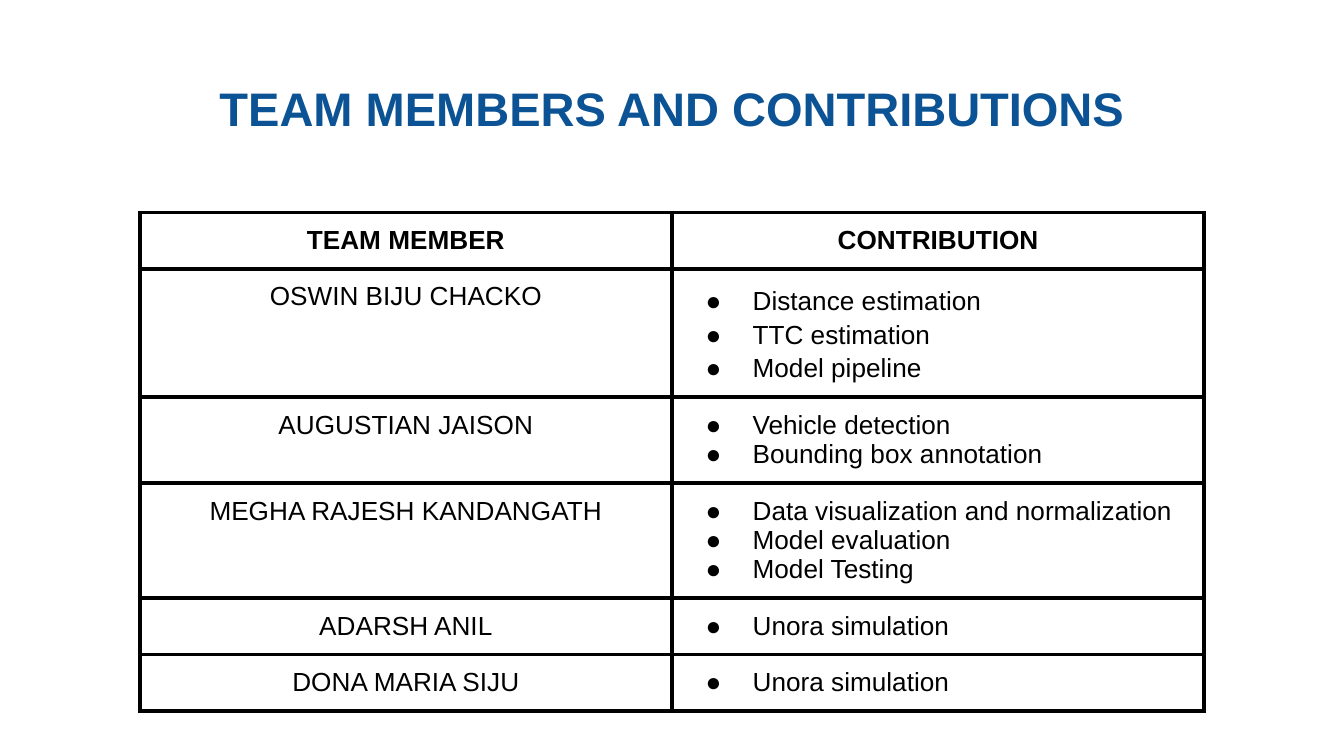
from lxml import etree
from pptx import Presentation
from pptx.dml.color import RGBColor
from pptx.enum.text import MSO_ANCHOR, PP_ALIGN
from pptx.oxml.ns import qn
from pptx.util import Inches, Pt

CENTER, LEFT = PP_ALIGN.CENTER, PP_ALIGN.LEFT
MIDDLE, TOP = MSO_ANCHOR.MIDDLE, MSO_ANCHOR.TOP
BLUE = RGBColor(0x0B, 0x53, 0x94)
BLACK = RGBColor(0, 0, 0)

TITLE = "TEAM MEMBERS AND CONTRIBUTIONS"
HEADERS = ("TEAM MEMBER", "CONTRIBUTION")
# name, contributions, line spacing, row height
MEMBERS = [
    ("OSWIN BIJU CHACKO",
     ["Distance estimation", "TTC estimation", "Model pipeline"], 1.15, 0.95),
    ("AUGUSTIAN JAISON",
     ["Vehicle detection", "Bounding box annotation"], 1.0, 0.64),
    ("MEGHA RAJESH KANDANGATH",
     ["Data visualization and normalization", "Model evaluation", "Model Testing"],
     1.0, 0.85),
    ("ADARSH ANIL", ["Unora simulation"], 1.0, 0.42),
    ("DONA MARIA SIJU", ["Unora simulation"], 1.0, 0.42),
]
SLIDE_WIDTH = Inches(10)
SLIDE_HEIGHT = SLIDE_WIDTH * 9 // 16
HEADER_HEIGHT = 0.42
COLUMN_WIDTH = 3.96
TABLE_LEFT, TABLE_TOP = 1.04, 1.58
INSET = Inches(0.1)
MARGINS = dict.fromkeys(
    ("margin_left", "margin_right", "margin_top", "margin_bottom"), INSET)
TITLE_FONT = {"name": "Arial", "size": Pt(25.2), "bold": True}
HEADER_FONT = {"name": "Arial", "size": Pt(14), "bold": True}
BODY_FONT = {**HEADER_FONT, "bold": False}


def set_attributes(target, values):
    for name, value in values.items():
        setattr(target, name, value)


def write(frame, lines, font, color, alignment, spacing=1.0):
    frame.text = "\n".join(lines)
    for paragraph in frame.paragraphs:
        paragraph.alignment = alignment
        paragraph.line_spacing = spacing
        for run in paragraph.runs:
            set_attributes(run.font, font)
            run.font.color.rgb = color


def add_bullet(paragraph):
    properties = paragraph._p.get_or_add_pPr()
    properties.set("marL", str(Inches(0.5)))
    properties.set("indent", str(Inches(-0.35)))
    color = etree.SubElement(properties, qn("a:buClr"))
    etree.SubElement(color, qn("a:srgbClr"), val=str(BLACK))
    etree.SubElement(properties, qn("a:buFont"), typeface="Arial")
    etree.SubElement(properties, qn("a:buChar"), char="●")


def format_cell(cell):
    """Give the cell its margins, black borders and an empty fill."""
    set_attributes(cell, {**MARGINS, "vertical_anchor": TOP})
    properties = cell._tc.get_or_add_tcPr()
    for side in ("lnL", "lnR", "lnT", "lnB"):
        line = etree.SubElement(properties, qn(f"a:{side}"), w=str(Pt(2.25)))
        fill = etree.SubElement(line, qn("a:solidFill"))
        etree.SubElement(fill, qn("a:srgbClr"), val=str(BLACK))
    cell.fill.background()


def add_title(slide):
    title = slide.shapes.title
    set_attributes(title, {"left": Inches(0.34), "top": Inches(0.49),
                           "width": Inches(9.32), "height": Inches(0.63)})
    set_attributes(title.text_frame,
                   {**MARGINS, "vertical_anchor": MIDDLE, "word_wrap": True})
    write(title.text_frame, [TITLE], TITLE_FONT, BLUE, CENTER)


def add_member_table(slide):
    heights = [HEADER_HEIGHT] + [member[-1] for member in MEMBERS]
    table = slide.shapes.add_table(
        len(heights), len(HEADERS), Inches(TABLE_LEFT), Inches(TABLE_TOP),
        Inches(COLUMN_WIDTH * len(HEADERS)), Inches(sum(heights))).table
    set_attributes(table, {"first_row": False, "horz_banding": False})
    for row, height in zip(table.rows, heights):
        row.height = Inches(height)
    for cell in table.iter_cells():
        format_cell(cell)

    for column, header in enumerate(HEADERS):
        write(table.cell(0, column).text_frame, [header], HEADER_FONT, BLACK, CENTER)
    for row, (name, contributions, spacing, _) in enumerate(MEMBERS, start=1):
        write(table.cell(row, 0).text_frame, [name], BODY_FONT, BLACK, CENTER)
        frame = table.cell(row, 1).text_frame
        write(frame, contributions, BODY_FONT, BLACK, LEFT, spacing)
        for paragraph in frame.paragraphs:
            add_bullet(paragraph)


def main():
    presentation = Presentation()
    presentation.slide_width = SLIDE_WIDTH
    presentation.slide_height = SLIDE_HEIGHT
    slide = presentation.slides.add_slide(presentation.slide_layouts[5])
    add_title(slide)
    add_member_table(slide)
    presentation.save("out.pptx")


if __name__ == "__main__":
    main()
